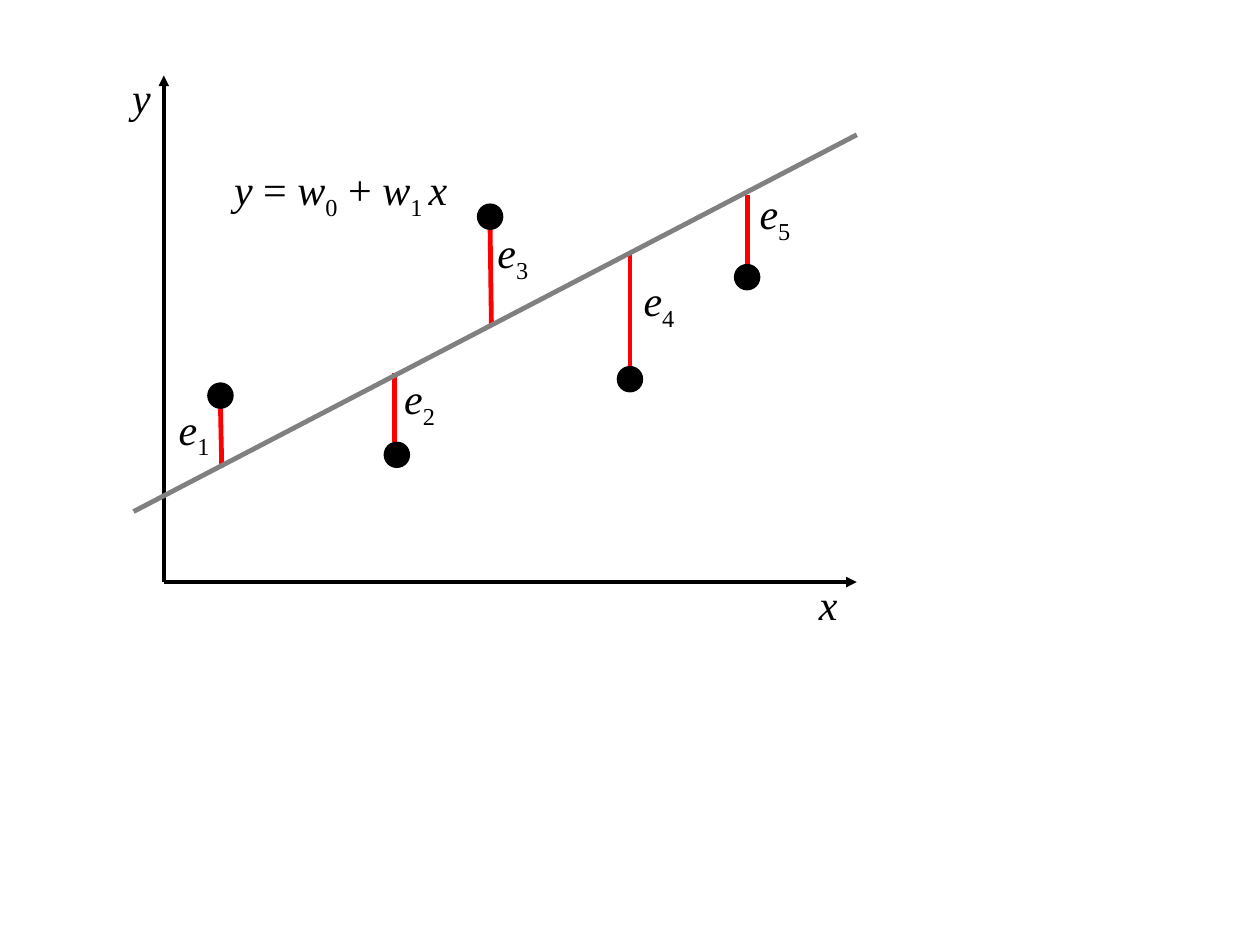
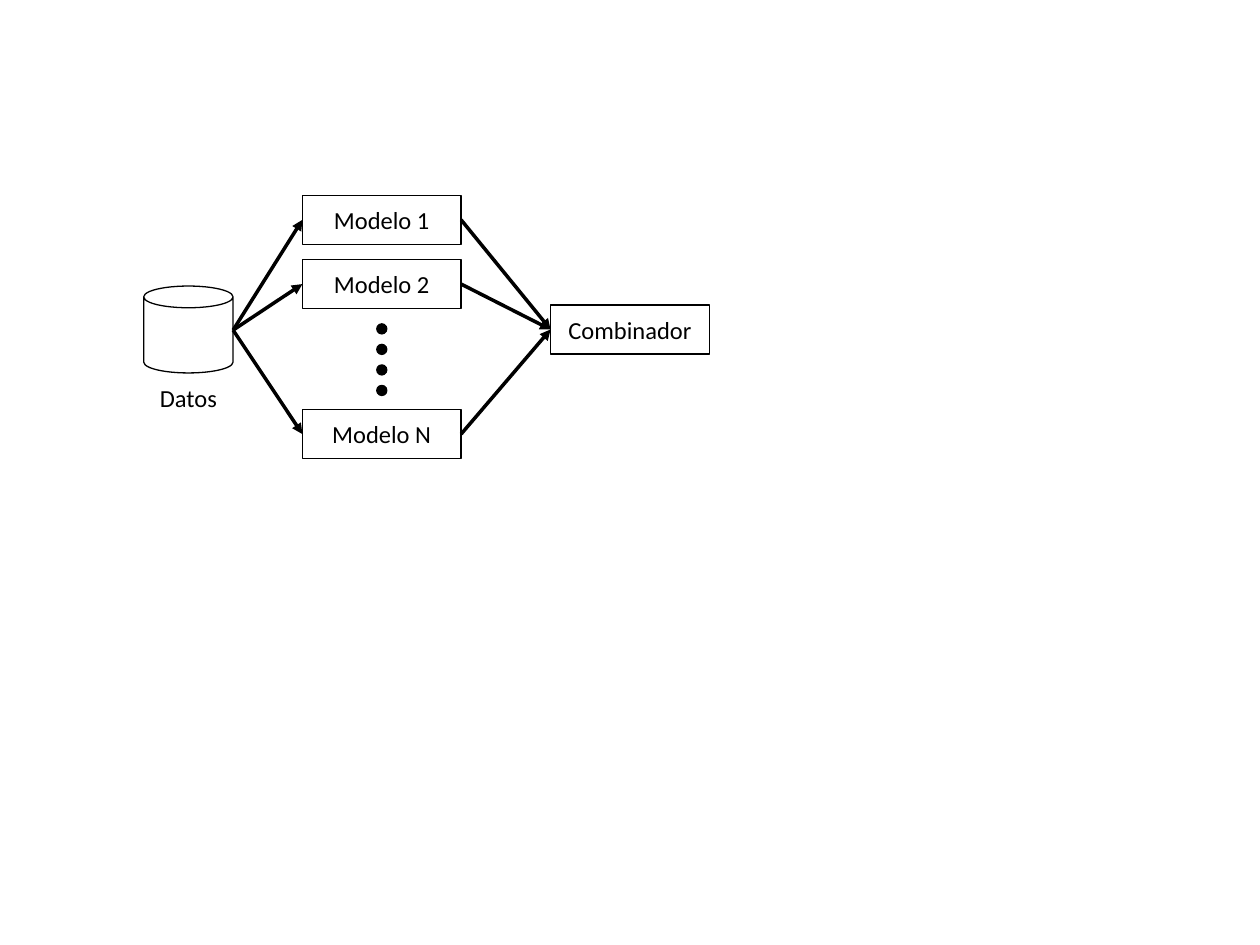
from lxml import etree
from pptx import Presentation, util as u
from pptx.dml import color
from pptx.enum import shapes as kinds, text as txt
from pptx.oxml import ns

BLACK, WHITE, GREY, RED = "000000", "FFFFFF", "808080", "FF0000"
MATH = {"name": "Times New Roman", "size": u.Pt(24)}
PLAIN = {"name": "Calibri", "size": u.Pt(14)}
FORM = kinds.MSO_SHAPE


def tint(hue):
    return color.RGBColor.from_string(hue)


def apply(item, look):
    for key, value in look.items():
        setattr(item, key, value)


def write(frame, runs, look, align=None):
    para = frame.paragraphs[0]
    para.alignment = align
    for words, mark in runs:
        run = para.add_run()
        run.text = words
        apply(run.font, {**look, "italic": mark == "i"})
        run.font.color.rgb = tint(BLACK)
        if mark == "sub":
            run.font._element.set("baseline", "-25000")


def label(slide, at, runs, look, wrap=False, align=None):
    frame = slide.shapes.add_textbox(*map(u.Inches, at)).text_frame
    apply(frame, {"word_wrap": wrap, "auto_size": txt.MSO_AUTO_SIZE.SHAPE_TO_FIT_TEXT})
    write(frame, runs, look, align)


def figure(holder, form, at, fill):
    shape = holder.shapes.add_shape(form, *map(u.Inches, at))
    shape.shadow.inherit = False
    shape.fill.solid()
    shape.fill.fore_color.rgb = tint(fill)
    shape.line.color.rgb = tint(BLACK)
    shape.line.width = u.Pt(0.75)
    return shape


def box(holder, left, top, words):
    shape = figure(holder, FORM.RECTANGLE, (left, top, 1.26, 0.39), WHITE)
    shape.text_frame.vertical_anchor = txt.MSO_ANCHOR.MIDDLE
    write(shape.text_frame, [(words, "")], PLAIN, txt.PP_ALIGN.CENTER)
    return shape


def dot(holder, x, y, size):
    figure(holder, FORM.OVAL, (x - size / 2, y - size / 2, size, size), BLACK)


def line(slide, start, end, hue=BLACK, width=2, arrow=False):
    ends = map(u.Inches, (*start, *end))
    link = slide.shapes.add_connector(kinds.MSO_CONNECTOR.STRAIGHT, *ends)
    link.line.color.rgb = tint(hue)
    link.line.width = u.Pt(width)
    if arrow:
        tail = etree.SubElement(link.line._get_or_add_ln(), ns.qn("a:tailEnd"))
        tail.set("type", "triangle")
    etree.SubElement(link._element.spPr, ns.qn("a:effectLst"))
    return link


def draw_fit(slide):
    points = [
        ((1.75, 3.14), (1.76, 3.71), (1.32, 3.15)),
        ((3.15, 3.61), (3.13, 2.96), (3.11, 2.91)),
        ((3.89, 1.72), (3.9, 2.57), (3.85, 1.75)),
        ((5, 3.01), (5, 2.02), (5.01, 2.13)),
        ((5.93, 2.2), (5.93, 1.55), (5.93, 1.44)),
    ]
    for (x, y), foot, _ in points:
        edge = y + (0.1 if foot[1] > y else -0.1)
        side = foot[0] if foot[1] < y else x
        line(slide, (side, edge), foot, RED, 2.75)

    origin = (1.3, 4.62)
    for tip in ((1.3, 0.6), (6.8, 4.62)):
        line(slide, origin, tip, arrow=True)
    line(slide, (1.06, 4.06), (6.8, 1.07), GREY, 2.75)

    for index, (spot, _, place) in enumerate(points, 1):
        dot(slide, *spot, 0.2)
        label(slide, (*place, 0.46, 0.5), [("e", "i"), (str(index), "sub")], MATH)

    model = [("y", "i"), (" = ", ""), ("w", "i"), ("0", "sub"),
             (" + ", ""), ("w", "i"), ("1 ", "sub"), ("x", "i")]
    label(slide, (1.76, 1.25, 1.97, 0.5), model, MATH)
    label(slide, (0.95, 0.52, 0.35, 0.5), [("y", "i")], MATH)
    label(slide, (6.4, 4.54, 0.35, 0.5), [("x", "i")], MATH)


def draw_vote(slide):
    figure(slide, FORM.CAN, (1.14, 2.27, 0.71, 0.69), WHITE)
    label(slide, (1.14, 2.99, 0.71, 0.34), [("Datos", "")], PLAIN, True,
          txt.PP_ALIGN.CENTER)

    group = slide.shapes.add_group_shape()
    rows = (("1", 1.55), ("2", 2.06), ("N", 3.25))
    models = [box(group, 2.4, top, f"Modelo {name}") for name, top in rows]
    for step in range(4):
        dot(group, 3.03, 2.61 + step * 0.163, 0.08)
    merger = box(slide, 4.37, 2.42, "Combinador")

    source = (1.85, 2.62)
    for model in models:
        line(slide, source, source, arrow=True).end_connect(model, 1)
    for model in models:
        link = line(slide, source, source, arrow=True)
        link.begin_connect(model, 3)
        link.end_connect(merger, 1)


def main():
    deck = Presentation()
    apply(deck, {"slide_width": u.Inches(10), "slide_height": u.Inches(7.5)})
    for draw in (draw_fit, draw_vote):
        draw(deck.slides.add_slide(deck.slide_layouts[6]))
    deck.save("out.pptx")


if __name__ == "__main__":
    main()
